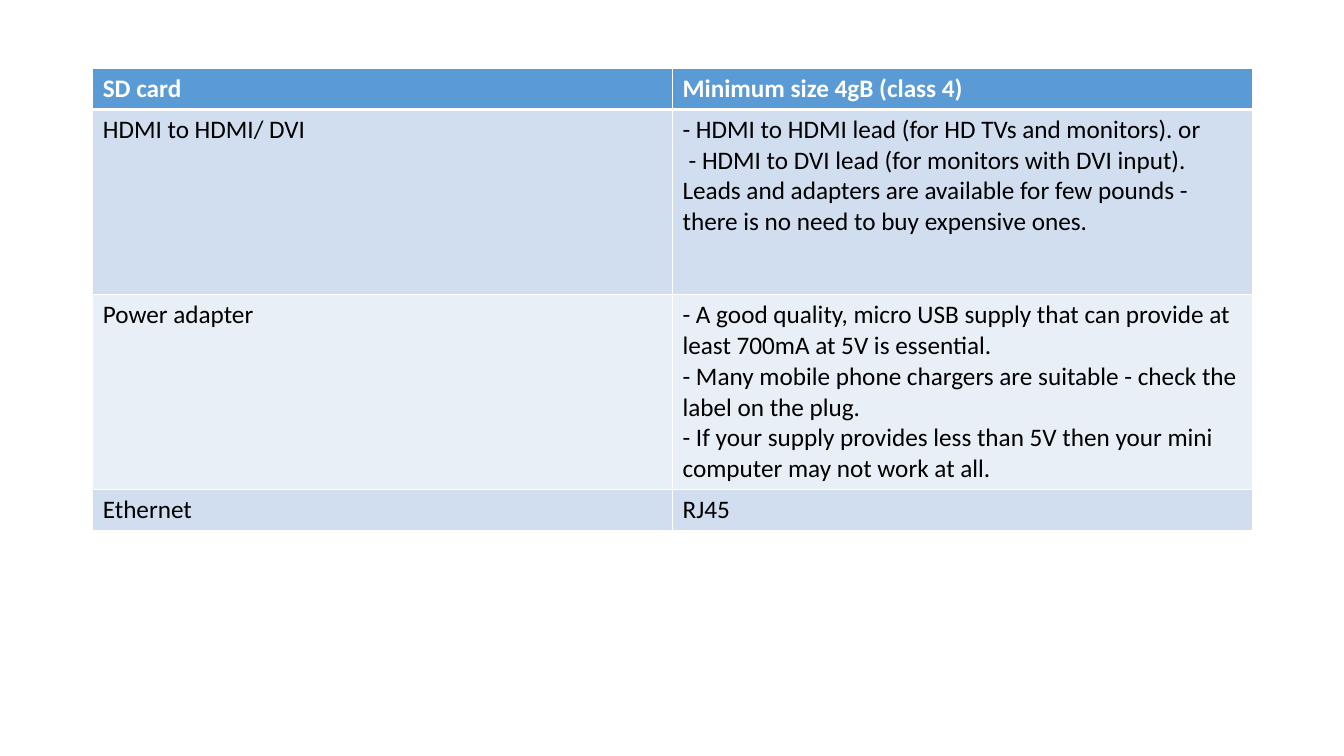
"""Build a slide with a table of the items needed to set up a small computer."""
from dataclasses import dataclass

import pptx
import pptx.dml.color
import pptx.oxml
import pptx.oxml.ns
import pptx.table
import pptx.util

Inches = pptx.util.Inches
Pt = pptx.util.Pt
RGB = pptx.dml.color.RGBColor

HUES = {
    "head": "5B9BD5",
    "dark": "D1DEEF",
    "light": "E9EFF7",
    "white": "FFFFFF",
    "black": "000000",
}
THIN = 0.96
THICK = 3


@dataclass
class Row:
    item: str
    notes: list[str]
    high: float
    fill: str
    head: bool = False


ROWS = [
    Row("SD card", ["Minimum size 4gB (class 4)"], 0.39, "head", True),
    Row("HDMI to HDMI/ DVI", [
        "- HDMI to HDMI lead (for HD TVs and monitors). or",
        "- HDMI to DVI lead (for monitors with DVI input). Leads and adapters "
        "are available for few pounds - there is no need to buy expensive ones.",
    ], 1.84, "dark"),
    Row("Power adapter", [
        "- A good quality, micro USB supply that can provide at least 700mA "
        "at 5V is essential.",
        "- Many mobile phone chargers are suitable - check the label on the plug.",
        "- If your supply provides less than 5V then your mini computer may "
        "not work at all.",
    ], 1.84, "light"),
    Row("Ethernet", ["RJ45"], 0.39, "dark"),
]


def edge(cell: pptx.table._Cell, side: str, width: float) -> None:
    """Add one white border to a cell."""
    space = pptx.oxml.ns.nsdecls("a")
    line = pptx.oxml.parse_xml(
        f'<a:ln{side} {space} w="{int(Pt(width))}"><a:solidFill>'
        f'<a:srgbClr val="{HUES["white"]}"/></a:solidFill></a:ln{side}>'
    )
    cell._tc.get_or_add_tcPr().append(line)


def write(cell: pptx.table._Cell, text: str, row: Row, top: float) -> None:
    """Fill a cell with text, borders and colour."""
    base = THICK if row.head else THIN
    for side, width in zip("LRTB", (THIN, THIN, top, base)):
        edge(cell, side, width)
    cell.fill.solid()
    cell.fill.fore_color.rgb = RGB.from_string(HUES[row.fill])
    cell.text_frame.text = text
    tint = HUES["white" if row.head else "black"]
    for para in cell.text_frame.paragraphs:
        for run in para.runs:
            run.font.name = "Calibri"
            run.font.size = Pt(18)
            run.font.bold = row.head
            run.font.color.rgb = RGB.from_string(tint)


def main() -> None:
    """Draw the table and save the deck."""
    deck = pptx.Presentation()
    deck.slide_width = Inches(13.33)
    deck.slide_height = Inches(7.5)
    slide = deck.slides.add_slide(deck.slide_layouts[6])
    high = sum(row.high for row in ROWS)
    table = slide.shapes.add_table(
        len(ROWS), 2, Inches(0.92), Inches(0.68), Inches(11.5), Inches(high)
    ).table
    top = THIN
    for index, row in enumerate(ROWS):
        table.rows[index].height = Inches(row.high)
        for col, text in enumerate((row.item, "\n".join(row.notes))):
            write(table.cell(index, col), text, row, top)
        top = THICK if row.head else THIN
    lead = table.cell(1, 1).text_frame.paragraphs[1]
    lead._p.get_or_add_pPr().set("indent", str(Inches(0.06)))
    deck.save("out.pptx")


if __name__ == "__main__":
    main()
